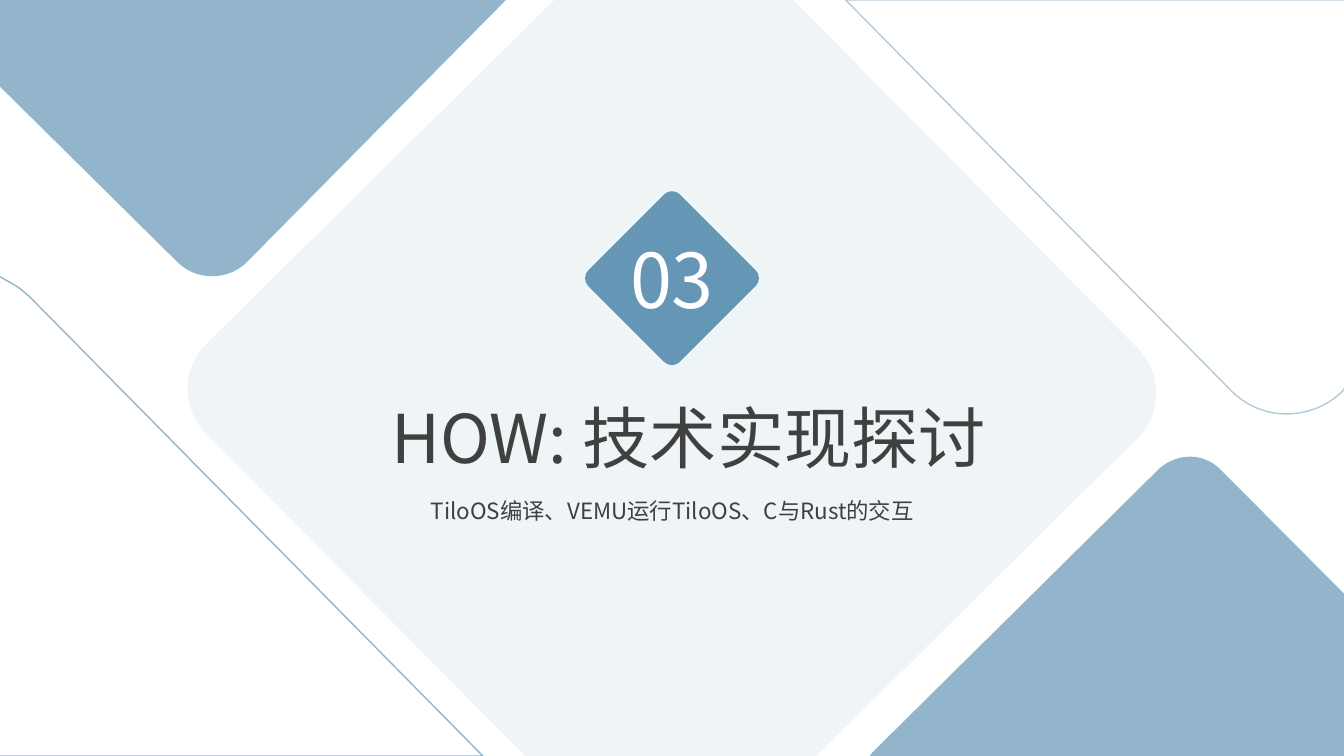
"""Build the section opener slide for part 03."""
from collections import namedtuple

from lxml import etree
from pptx import Presentation
from pptx.dml.color import RGBColor
from pptx.enum.text import MSO_ANCHOR, MSO_AUTO_SIZE, PP_ALIGN
from pptx.oxml.ns import qn
from pptx.util import Pt

CENTER = PP_ALIGN.CENTER
TOP, MIDDLE = MSO_ANCHOR.TOP, MSO_ANCHOR.MIDDLE
GROW = MSO_AUTO_SIZE.SHAPE_TO_FIT_TEXT

Theme = namedtuple("Theme", "blue white dark font number head body")
theme = Theme(
    blue=RGBColor(0x66, 0x96, 0xB6),
    white=RGBColor(0xFF, 0xFF, 0xFF),
    dark=RGBColor(0x40, 0x40, 0x40),
    font="Noto Sans CJK SC",
    number=54,
    head=48,
    body=16,
)


def draw(box, steps, alpha, filled):
    """Draw a closed outline in a box; a step of six numbers is a Bezier curve."""
    left, top, width, height = box
    spots = [(Pt(s[i]), Pt(s[i + 1])) for s in steps for i in range(0, len(s), 2)]
    pen = slide.shapes.build_freeform(*spots[0])
    pen.add_line_segments(spots[1:], close=True)
    shape = pen.convert_to_shape()
    shape.left, shape.top, shape.width, shape.height = map(Pt, box)
    props = shape.element.spPr
    path = next(props.iter(qn("a:path")))
    path.set("w", str(Pt(width)))
    path.set("h", str(Pt(height)))
    for node, (x, y) in zip(path.iter(qn("a:pt")), spots):
        node.set("x", str(x - Pt(left)))
        node.set("y", str(y - Pt(top)))
    lines = iter(path.findall(qn("a:lnTo")))
    for step in steps[1:]:
        line = next(lines)
        if len(step) == 6:
            curve = etree.Element(qn("a:cubicBezTo"))
            line.addprevious(curve)
            for part in (line, next(lines), next(lines)):
                curve.append(part[0])
                path.remove(part)
    shape.shadow.inherit = False
    if filled:
        shape.fill.solid()
        shape.fill.fore_color.rgb = theme.blue
        shape.line.fill.background()
    else:
        shape.fill.background()
        shape.line.color.rgb = theme.blue
        shape.line.width = Pt(1)
    if alpha < 100:
        for color in props.iter(qn("a:srgbClr")):
            etree.SubElement(color, qn("a:alpha"), val=str(alpha * 1000))
    return shape


def write(shape, text, size, color, anchor):
    """Put one centred run into a shape and return its paragraph."""
    frame = shape.text_frame
    frame.word_wrap = True
    frame.vertical_anchor = anchor
    para = frame.paragraphs[0]
    para.alignment = CENTER
    run = para.add_run()
    run.text = text
    run.font.size = Pt(size)
    run.font.name = theme.font
    run.font.color.rgb = color
    etree.SubElement(run.font._element, qn("a:ea"), typeface=theme.font)
    return para


deck = Presentation()
deck.slide_width, deck.slide_height = Pt(960), Pt(540)
slide = deck.slides.add_slide(deck.slide_layouts[5])

left = [(-0.7, 197.3), (10.8, 203.8), (14.4, 205.9, 17.3, 208.8, 20.9, 211.7),
        (344.9, 540), (-0.7, 540)]
middle = [(396, 0), (566.6, 0), (812.9, 249.1),
          (830.2, 267.1, 830.2, 295.9, 812.2, 313.2),
          (583.2, 540), (375.1, 540), (146.9, 309.6),
          (129.6, 291.6, 129.6, 262.8, 147.6, 245.5)]
lower = [(850.3, 326.2), (857.5, 326.2, 865.4, 329, 871.9, 335.5),
         (960, 424.1), (960, 540), (621.4, 540), (622.8, 537.8),
         (828, 334.8), (834.5, 329, 842.4, 326.2, 850.3, 326.2)]
upper = [(361.4, 0), (0, 0), (0, 61.9), (126.7, 187.2),
         (140.4, 200.9, 163.4, 200.9, 177.1, 186.5)]
right = [(604.1, 0), (961.9, 0), (961.9, 275.8), (958.3, 280.1),
         (936, 301, 901.4, 301, 879.8, 279.4)]

for box, steps, alpha, filled in [
    ((-0.7, 197.3, 345.6, 342.7), left, 70, False),
    ((133.9, 0, 691.9, 540), middle, 10, True),
    ((621.4, 326.2, 338.6, 213.8), lower, 70, True),
    ((0, 0, 361.4, 197.3), upper, 70, True),
    ((604.1, 0, 357.8, 295.9), right, 50, False),
]:
    draw(box, steps, alpha, filled)

mid_x, mid_y, half = 480, 198.7, 62.6
corner = [(-5.6, -59.8), (-2.5, -62.9), (2.5, -62.9), (5.6, -59.8)]
badge = []
for turn in range(4):
    start, *curve = [(mid_x + x, mid_y + y) for x, y in corner]
    badge += [start, sum(curve, ())]
    corner = [(-y, x) for x, y in corner]
frame = (mid_x - half, mid_y - half, 2 * half, 2 * half)
write(draw(frame, badge, 100, True), "03", theme.number, theme.white, MIDDLE)

title = slide.shapes.title
title.left, title.top, title.width, title.height = map(Pt, (183, 279.4, 618, 65.5))
title.element.getparent().append(title.element)
write(title, "HOW: 技术实现探讨", theme.head, theme.dark, TOP)
title.text_frame.auto_size = GROW

note = slide.shapes.add_textbox(Pt(234.7), Pt(342), Pt(491), Pt(33))
para = write(note, "TiloOS编译、VEMU运行TiloOS、C与Rust的交互", theme.body, theme.dark, TOP)
para.line_spacing = 1.5
note.text_frame.auto_size = GROW

deck.save("out.pptx")
